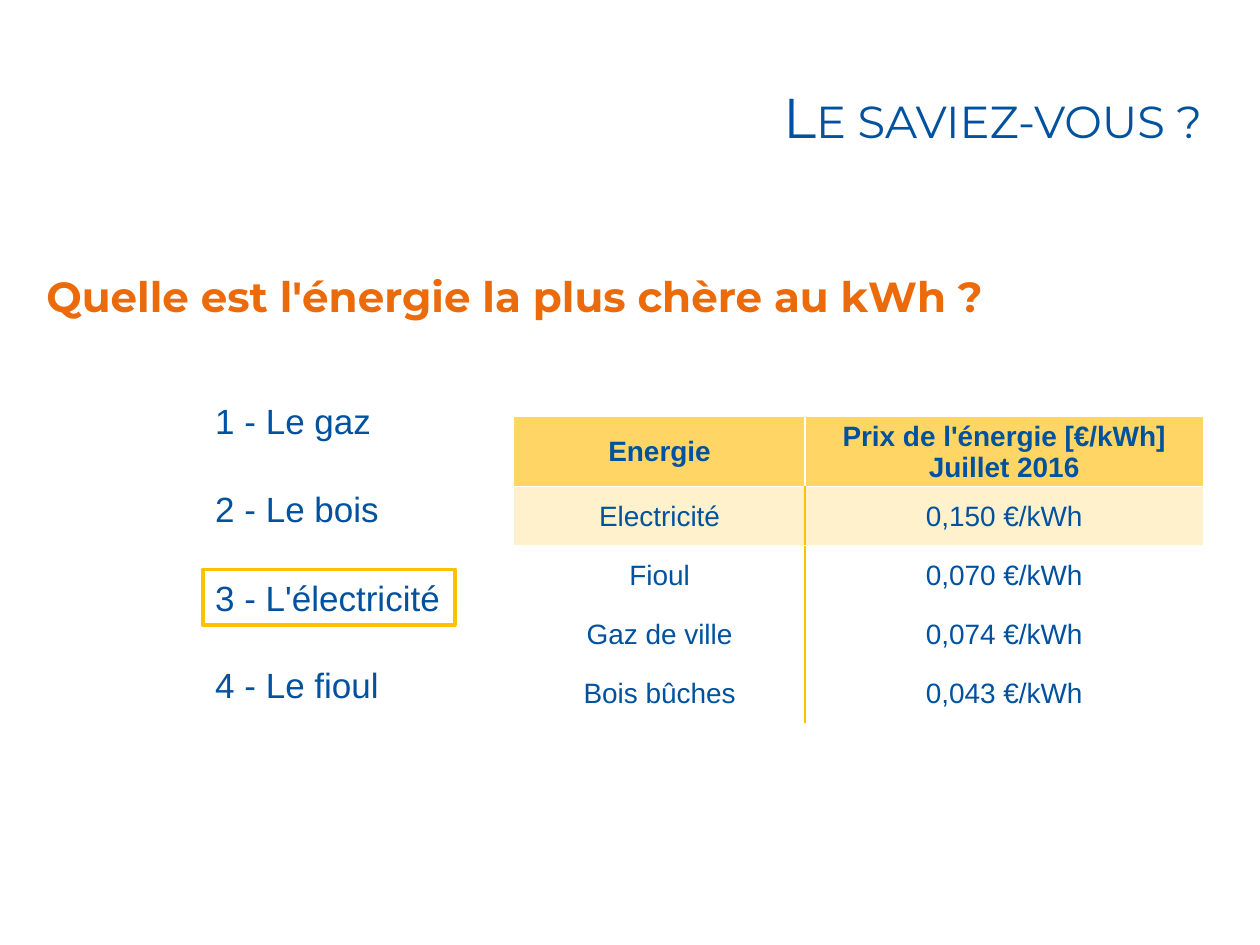
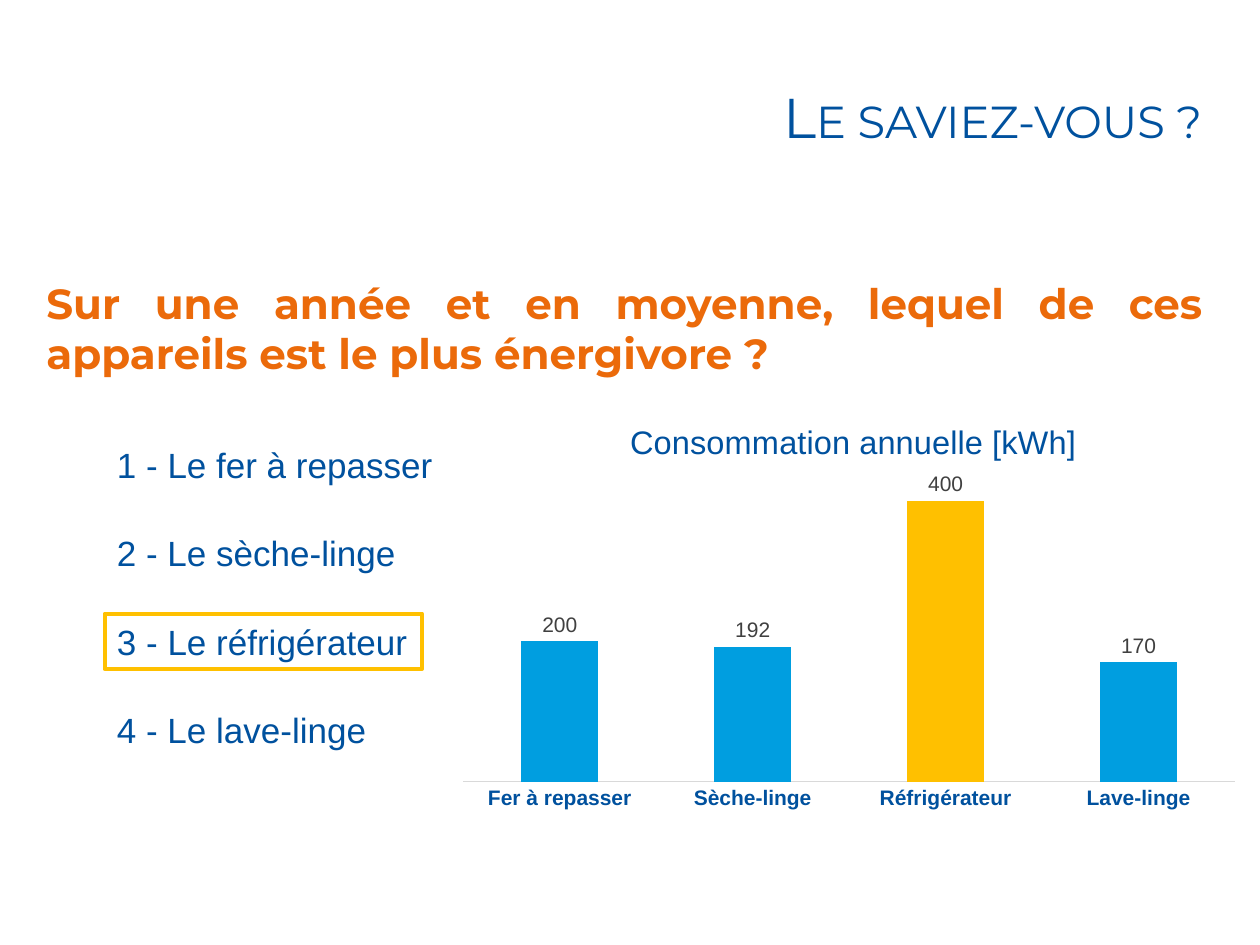
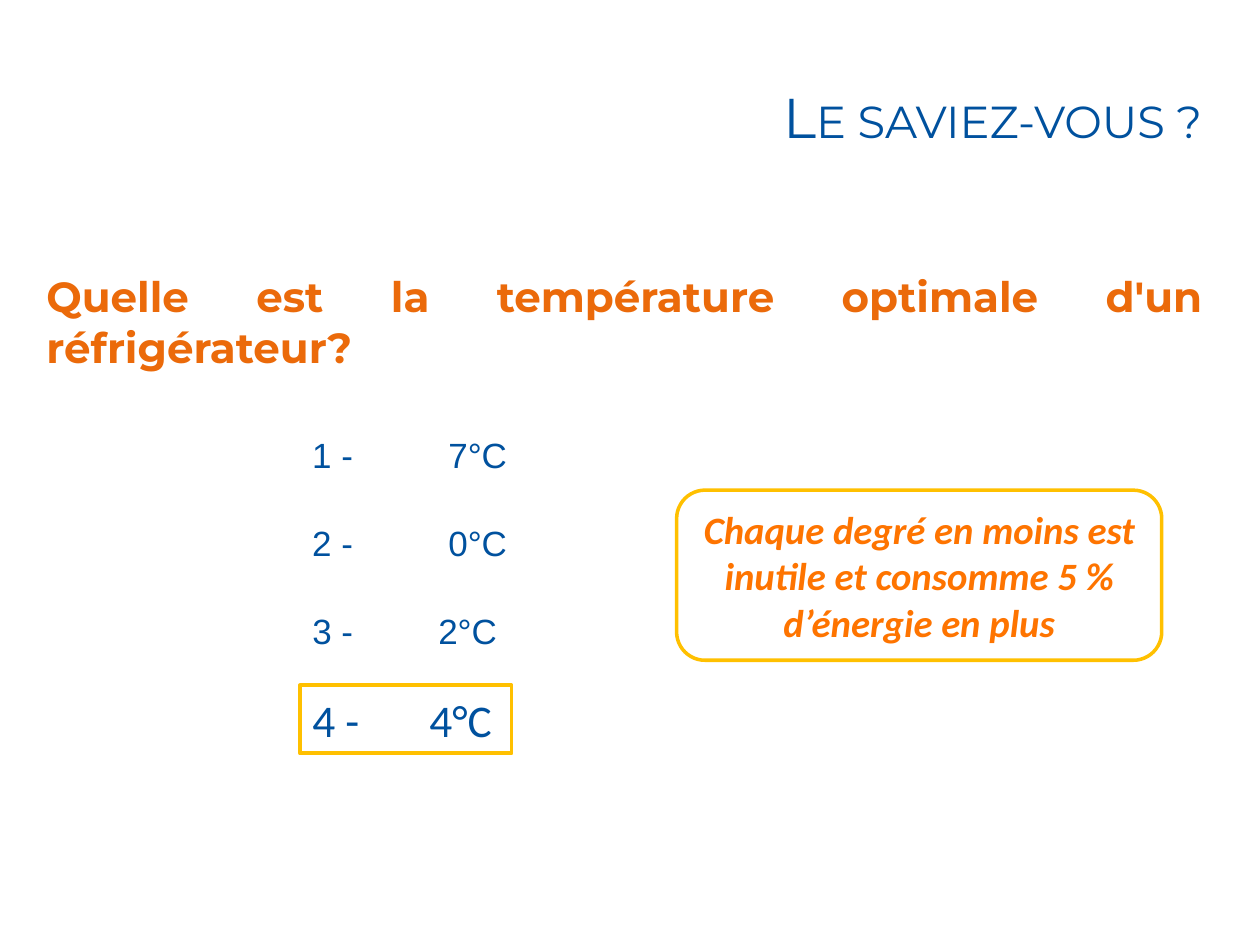
import pptx
import pptx.chart.data
import pptx.dml.color
import pptx.enum.chart
import pptx.enum.shapes
import pptx.enum.text
import pptx.oxml
import pptx.oxml.ns
import pptx.util
from pptx.util import Inches

COLORS = {
    "blue": "00519E",
    "orange": "EB6A0A",
    "bright orange": "FE7400",
    "gold": "FFC000",
    "header": "FFD665",
    "highlight": "FFF1CC",
    "bar": "009EE0",
    "axis": "D9D9D9",
    "label": "404040",
    "white": "FFFFFF",
}
RGB = {name: pptx.dml.color.RGBColor.from_string(code) for name, code in COLORS.items()}
ALIGN = pptx.enum.text.PP_ALIGN
MIDDLE = pptx.enum.text.MSO_ANCHOR.MIDDLE
SHAPES = pptx.enum.shapes.MSO_SHAPE
NAMESPACES = pptx.oxml.ns.nsdecls("a", "c")
ROW_PITCH = 0.7

# Each choice: text, box width, tab stop
QUIZZES = [
    {
        "question": "Quelle est l'énergie la plus chère au kWh ?",
        "question_top": 2.1, "left": 1.61, "top": 3.12, "answer": 2,
        "answer_font": ("Arial", 20), "answer_height": 0.44,
        "choices": [("1 - Le gaz", 1.45, None), ("2 - Le bois", 1.51, None),
                    ("3 - L'électricité", 2, None), ("4 - Le fioul", 1.51, None)],
    },
    {
        "question": "Sur une année et en moyenne, lequel de ces appareils est le plus énergivore ?",
        "question_top": 2.15, "left": 0.83, "top": 3.47, "answer": 2,
        "answer_font": ("Arial", 20), "answer_height": 0.44,
        "choices": [("1 - Le fer à repasser", 2.72, None), ("2 - Le sèche-linge", 2.43, None),
                    ("3 - Le réfrigérateur", 2.52, None), ("4 - Le lave-linge", 2.2, None)],
    },
    {
        "question": "Quelle est la température optimale d'un réfrigérateur?",
        "question_top": 2.1, "left": 2.38, "top": 3.39, "answer": 3,
        "answer_font": ("Calibri", 25.9), "answer_height": 0.54,
        "choices": [("1 -\t7°C", 1.76, 1.08), ("2 -\t0°C", 1.76, 1.08),
                    ("3 -\t2°C", 1.68, 1), ("4 -\t4°C", 1.68, 0.93)],
    },
]


def write(frame, text, font, size, color, align=ALIGN.LEFT, bold=False, italic=False):
    frame.text = text
    for para in frame.paragraphs:
        para.alignment = align
        for span in para.runs:
            span.font.name = font
            span.font.size = pptx.util.Pt(size)
            span.font.color.rgb = RGB[color]
            span.font.bold = bold
            span.font.italic = italic


def set_border(cell, side, color):
    """Draw one cell border; call for L, R, T, B in reverse order."""
    cell._tc.get_or_add_tcPr().insert(0, pptx.oxml.parse_xml(
        f'<a:ln{side} {NAMESPACES} w="12700"><a:solidFill>'
        f'<a:srgbClr val="{COLORS[color]}"/></a:solidFill></a:ln{side}>'))


deck = pptx.Presentation()
deck.slide_width = Inches(10)
deck.slide_height = Inches(7.5)
pages = []

# Shared parts: title, question and four choices with the answer framed
for quiz in QUIZZES:
    page = deck.slides.add_slide(deck.slide_layouts[5])
    pages.append(page)
    title = page.shapes.title
    title.left, title.top = Inches(1.77), Inches(0.3)
    title.width, title.height = Inches(7.87), Inches(1.24)
    title.text_frame.vertical_anchor = MIDDLE
    write(title.text_frame, "Le saviez-vous ?", "Montserrat", 32, "blue", ALIGN.RIGHT)
    title.text_frame.paragraphs[0].runs[0].font._element.set("cap", "small")

    question = page.shapes.add_textbox(
        Inches(0.27), Inches(quiz["question_top"]), Inches(9.37), Inches(4.8))
    question.text_frame.word_wrap = True
    write(question.text_frame, quiz["question"], "Montserrat", 24, "orange", ALIGN.JUSTIFY, bold=True)

    for row, (text, width, tab) in enumerate(quiz["choices"]):
        left, width = Inches(quiz["left"]), Inches(width)
        top = Inches(quiz["top"] + row * ROW_PITCH)
        font, size = "Arial", 20
        if row == quiz["answer"]:
            font, size = quiz["answer_font"]
            height = Inches(quiz["answer_height"])
            top -= (height - Inches(0.44)) // 2
            box = page.shapes.add_shape(SHAPES.RECTANGLE, left, top, width, height)
            box.shadow.inherit = False
            box.fill.background()
            box.line.color.rgb = RGB["gold"]
            box.line.width = pptx.util.Pt(2.25)
        else:
            box = page.shapes.add_textbox(left, top, width, Inches(0.44))
        box.text_frame.word_wrap = False
        write(box.text_frame, text, font, size, "blue")
        if tab:
            box.text_frame.paragraphs[0]._p.get_or_add_pPr().append(pptx.oxml.parse_xml(
                f'<a:tabLst {NAMESPACES}><a:tab pos="{Inches(tab)}" algn="l"/></a:tabLst>'))

energy_page, appliance_page, fridge_page = pages

# Energy prices
prices = [
    ("Energie", "Prix de l'énergie [€/kWh]\nJuillet 2016"),
    ("Electricité", "0,150 €/kWh"),
    ("Fioul", "0,070 €/kWh"),
    ("Gaz de ville", "0,074 €/kWh"),
    ("Bois bûches", "0,043 €/kWh"),
]
table = energy_page.shapes.add_table(
    len(prices), 2, Inches(4.08), Inches(3.31), Inches(5.46), Inches(2.42)).table
table._tbl.tblPr[0].text = "{2D5ABB26-0587-4C30-8999-92F81FD0307C}"  # no style, no grid
for column, width in zip(table.columns, (2.31, 3.16)):
    column.width = Inches(width)
row_fills = {0: "header", 1: "highlight"}
for row, texts in enumerate(prices):
    table.rows[row].height = Inches(0.47 if row else 0.55)
    for column, text in enumerate(texts):
        cell = table.cell(row, column)
        cell.vertical_anchor = MIDDLE
        cell.margin_left = cell.margin_right = cell.margin_top = Inches(0.01)
        cell.margin_bottom = 0
        write(cell.text_frame, text, "Arial", 16, "blue", ALIGN.CENTER, bold=row == 0)
        if row in row_fills:
            cell.fill.solid()
            cell.fill.fore_color.rgb = RGB[row_fills[row]]
        else:
            cell.fill.background()
        if row == 0:
            set_border(cell, "B", "white")
        if row == 1:
            set_border(cell, "T", "white")
        set_border(cell, "L" if column else "R", "gold" if row else "white")

# Yearly consumption of the appliances
consumption = pptx.chart.data.CategoryChartData()
consumption.categories = ["Fer à repasser", "Sèche-linge", "Réfrigérateur", "Lave-linge"]
consumption.add_series("Series 1", (200, 192, 400, 170))
chart = appliance_page.shapes.add_chart(
    pptx.enum.chart.XL_CHART_TYPE.COLUMN_CLUSTERED,
    Inches(3.55), Inches(3.12), Inches(6.38), Inches(3.39), consumption).chart
chart.font.name = "Arial"
chart.font.size = pptx.util.Pt(10)
chart.has_legend = False
chart.has_title = True
write(chart.chart_title.text_frame, "Consommation annuelle [kWh]", "Arial", 18.6, "blue", ALIGN.CENTER)

plot = chart.plots[0]
plot.gap_width = 150
plot.overlap = -25
plot.vary_by_categories = False
series = plot.series[0]
for bar, color in ((series, "bar"), (series.points[2], "gold")):
    bar.format.fill.solid()
    bar.format.fill.fore_color.rgb = RGB[color]
plot.has_data_labels = True
labels = plot.data_labels
labels.show_value = True
labels.position = pptx.enum.chart.XL_LABEL_POSITION.OUTSIDE_END

category_axis = chart.category_axis
category_axis.major_tick_mark = pptx.enum.chart.XL_TICK_MARK.NONE
category_axis.format.line.color.rgb = RGB["axis"]
category_axis.format.line.width = pptx.util.Pt(0.75)
category_axis.tick_labels.font.bold = True
for font, color in ((labels.font, "label"), (category_axis.tick_labels.font, "blue")):
    font.name = "Arial"
    font.size = pptx.util.Pt(12)
    font.color.rgb = RGB[color]
chart.value_axis.minimum_scale = 0
chart.value_axis.maximum_scale = 450
chart.value_axis.has_major_gridlines = False
chart.value_axis.visible = False

chart_layouts = [
    (chart.chart_title._element, 1, {"x": 0.22, "y": 0.05}),
    (chart._chartSpace.chart.plotArea, 0, {"x": 0.02, "y": 0.17, "w": 0.96, "h": 0.74}),
]
for part, position, sizes in chart_layouts:
    for automatic in part.findall(pptx.oxml.ns.qn("c:layout")):
        part.remove(automatic)
    target = '<c:layoutTarget val="inner"/>' if "w" in sizes else ""
    modes = "".join(f'<c:{axis}Mode val="edge"/>' for axis in "xy")
    values = "".join(f'<c:{name} val="{value}"/>' for name, value in sizes.items())
    part.insert(position, pptx.oxml.parse_xml(
        f"<c:layout {NAMESPACES}><c:manualLayout>{target}{modes}{values}</c:manualLayout></c:layout>"))

# Advice beside the temperatures
advice = fridge_page.shapes.add_shape(
    SHAPES.ROUNDED_RECTANGLE, Inches(5.37), Inches(3.89), Inches(3.85), Inches(1.35))
advice.shadow.inherit = False
advice.fill.solid()
advice.fill.fore_color.rgb = RGB["white"]
advice.line.color.rgb = RGB["gold"]
advice.line.width = pptx.util.Pt(2)
advice.text_frame.word_wrap = True
write(advice.text_frame, "Chaque degré en moins est inutile et consomme 5 % d’énergie en plus",
      "Calibri", 22.1, "bright orange", ALIGN.CENTER, bold=True, italic=True)

deck.save("out.pptx")
